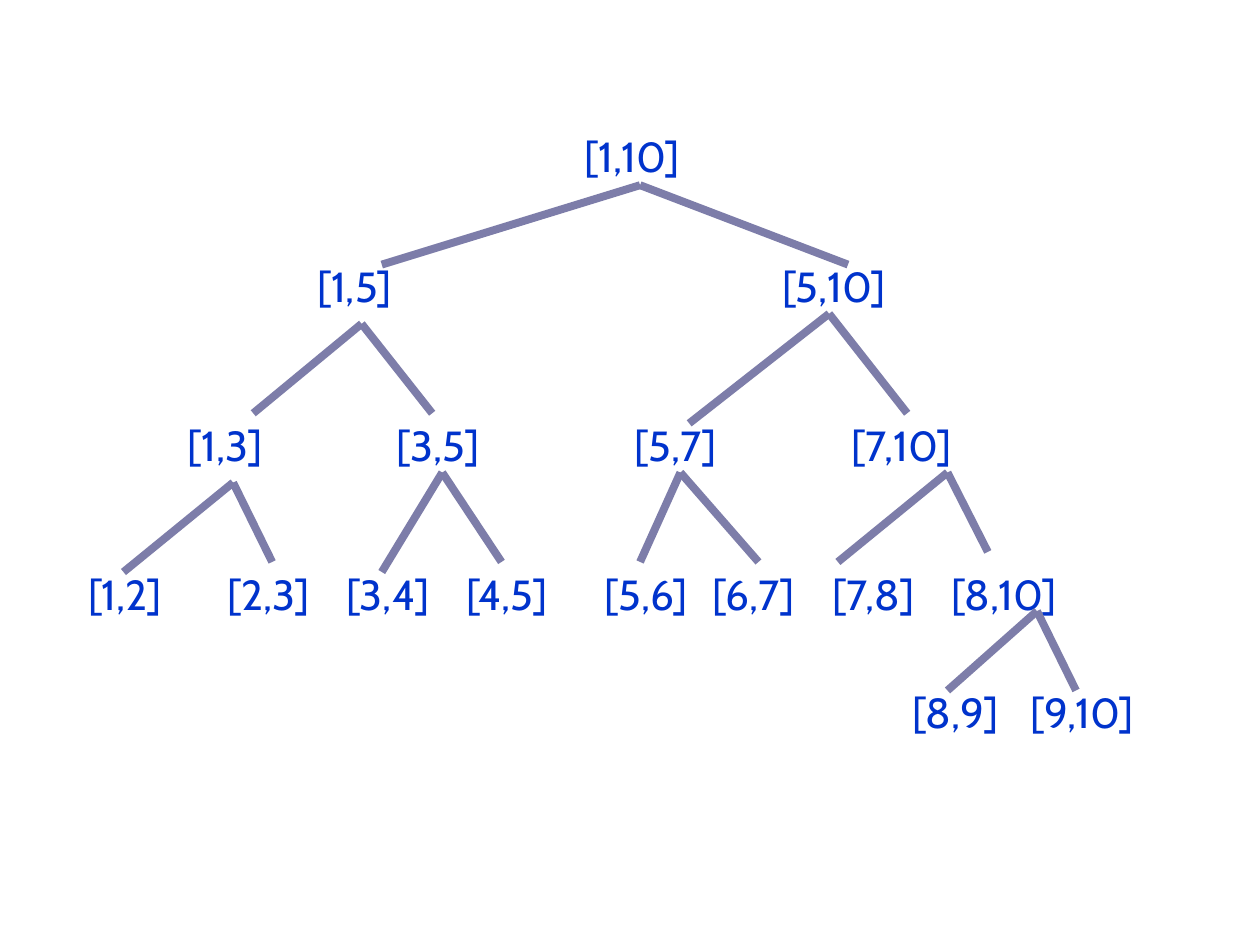
from pptx import Presentation
from pptx.dml.color import RGBColor
from pptx.enum.shapes import MSO_CONNECTOR
from pptx.enum.text import MSO_AUTO_SIZE
from pptx.oxml.ns import qn
from pptx.util import Inches, Pt
from lxml import etree

STRAIGHT = MSO_CONNECTOR.STRAIGHT
FIT_SHAPE = MSO_AUTO_SIZE.SHAPE_TO_FIT_TEXT
LABEL_BLUE = RGBColor(0x00, 0x33, 0xCC)
BRANCH_VIOLET = RGBColor(0x7D, 0x7D, 0xA9)
LABEL_FORMAT = {"name": "Cabin", "size": Pt(24)}
LABEL_HEIGHT = 0.5
LABEL_WIDTHS = {5: 0.89, 6: 1.08}  # by number of characters

# Each level of the tree: top, then (left, interval)
LEVELS = [
    (0.99, [(4.54, "[1,10]")]),
    (2.02, [(2.42, "[1,5]"), (6.11, "[5,10]")]),
    (3.28, [(1.39, "[1,3]"), (3.05, "[3,5]"), (4.94, "[5,7]"), (6.66, "[7,10]")]),
    (4.46, [(0.6, "[1,2]"), (1.71, "[2,3]"), (2.65, "[3,4]"), (3.6, "[4,5]"),
            (4.7, "[5,6]"), (5.56, "[6,7]"), (6.51, "[7,8]"), (7.45, "[8,10]")]),
    (5.4, [(7.14, "[8,9]"), (8.08, "[9,10]")]),
]

# Each fork: the point below a parent, then the ends above its two children
FORKS = [
    ((5.08, 1.47), (3.03, 2.1), (6.73, 2.1)),
    ((2.87, 2.57), (2.01, 3.28), (3.43, 3.28)),
    ((6.58, 2.49), (5.47, 3.36), (7.2, 3.28)),
    ((1.85, 3.83), (0.98, 4.54), (2.16, 4.46)),
    ((3.51, 3.75), (3.03, 4.54), (3.98, 4.46)),
    ((5.4, 3.75), (5.08, 4.46), (6.02, 4.46)),
    ((7.52, 3.75), (6.65, 4.46), (7.84, 4.38)),
    ((8.23, 4.85), (7.52, 5.48), (8.54, 5.48)),
]


def add_label(page, left, top, interval):
    size = LABEL_WIDTHS[len(interval)], LABEL_HEIGHT
    box = page.shapes.add_textbox(*map(Inches, (left, top, *size)))
    box.text_frame.word_wrap = False
    box.text_frame.auto_size = FIT_SHAPE
    span = box.text_frame.paragraphs[0].add_run()
    span.text = interval
    for name, value in LABEL_FORMAT.items():
        setattr(span.font, name, value)
    span.font.color.rgb = LABEL_BLUE


def add_branch(page, start, end):
    branch = page.shapes.add_connector(STRAIGHT, *map(Inches, start + end))
    branch.line.color.rgb = BRANCH_VIOLET
    branch.line.width = Pt(4.5)
    etree.SubElement(branch._element.spPr, qn("a:effectLst"))


def main():
    deck = Presentation()
    deck.slide_width, deck.slide_height = Inches(10), Inches(7.5)
    page = deck.slides.add_slide(deck.slide_layouts[6])
    for top, labels in LEVELS:
        for left, interval in labels:
            add_label(page, left, top, interval)
    for parent, *children in FORKS:
        for child in children:
            add_branch(page, parent, child)
    deck.save("out.pptx")


if __name__ == "__main__":
    main()
